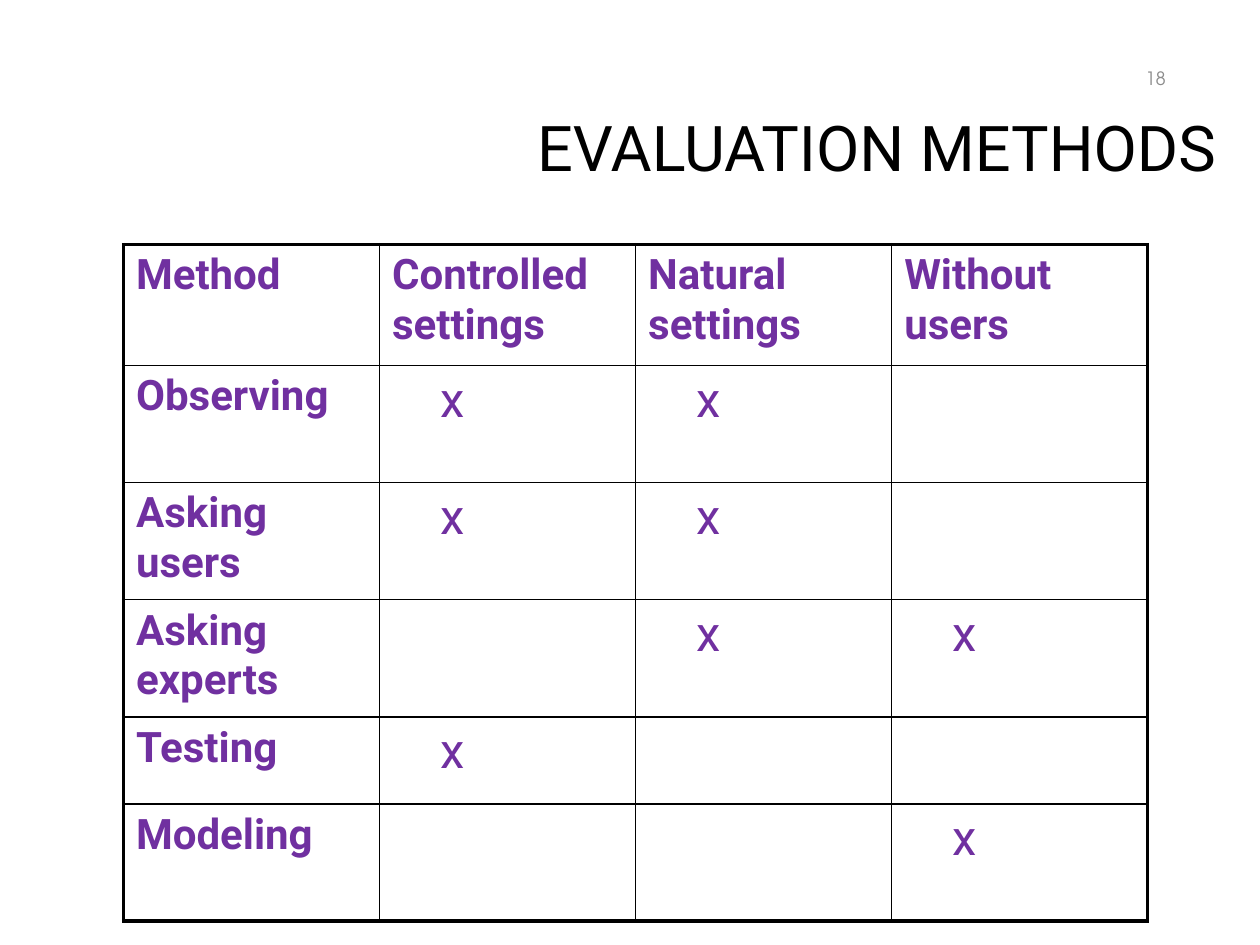
from lxml import etree
from pptx import Presentation
from pptx.dml.color import RGBColor
from pptx.enum.text import MSO_ANCHOR, PP_ALIGN
from pptx.oxml.ns import qn
from pptx.util import Inches, Pt

RIGHT, LEFT = PP_ALIGN.RIGHT, PP_ALIGN.LEFT
MIDDLE = MSO_ANCHOR.MIDDLE
BLANK_LAYOUT = 6

COLORS = {"title": "000000", "number": "8C8C8C", "table": "7030A0", "border": "000000"}
FORMATS = {
    "number": {"name": "TeX Gyre Adventor", "size": Pt(10.5)},
    "title": {"name": "Roboto", "size": Pt(36)},
    "label": {"name": "Roboto", "size": Pt(24), "bold": True},
    "mark": {"name": "Roboto", "size": Pt(28), "bold": False},
}

# Boxes are left, top, width, height in inches
NUMBER_BOX = (7.19, 0.42, 2.16, 0.4)
TITLE_BOX = (0.75, 0.85, 9, 0.7)
TABLE_BOX = (0.98, 1.94, 8.13, 5.37)

HEADERS = ["Method", "Controlled settings", "Natural settings", "Without users"]
# Each method with the columns that are marked
METHODS = [
    ("Observing", (1, 2)),
    ("Asking users", (1, 2)),
    ("Asking experts", (2, 3)),
    ("Testing", (1,)),
    ("Modeling", (3,)),
]
ROW_UNITS = [0.96, 0.93, 0.93, 0.93, 0.69, 0.93]
MARK_INDENT = Inches(0.48)
THIN, THICK = 1, 2.25


def write(paragraph, text, style, color, alignment=LEFT):
    paragraph.alignment = alignment
    run = paragraph.add_run()
    run.text = text
    for attribute, value in FORMATS[style].items():
        setattr(run.font, attribute, value)
    run.font.color.rgb = RGBColor.from_string(COLORS[color])


def add_heading(slide, box, text, style, line_spacing=1.0):
    shape = slide.shapes.add_textbox(*map(Inches, box))
    frame = shape.text_frame
    frame.word_wrap = True
    frame.vertical_anchor = MIDDLE
    paragraph = frame.paragraphs[0]
    paragraph.line_spacing = line_spacing
    write(paragraph, text, style, style, RIGHT)


def set_borders(cell, widths):
    properties = cell._tc.get_or_add_tcPr()
    for side, width in widths.items():
        line = etree.SubElement(properties, qn(f"a:ln{side}"), w=str(Pt(width)))
        fill = etree.SubElement(line, qn("a:solidFill"))
        etree.SubElement(fill, qn("a:srgbClr"), val=COLORS["border"])


def add_methods_table(slide, box):
    left, top, width, height = map(Inches, box)
    row_count, column_count = len(METHODS) + 1, len(HEADERS)
    frame = slide.shapes.add_table(row_count, column_count, left, top, width, height)
    table = frame.table
    table.first_row = table.horz_banding = False
    for column in table.columns:
        column.width = width // column_count
    for row, units in zip(table.rows, ROW_UNITS):
        row.height = int(height * units / sum(ROW_UNITS))

    # Thick outer frame, thin inner grid
    for row in range(row_count):
        for column in range(column_count):
            cell = table.cell(row, column)
            outer = {
                "L": column == 0,
                "R": column == column_count - 1,
                "T": row == 0,
                "B": row == row_count - 1,
            }
            set_borders(cell, {side: THICK if edge else THIN for side, edge in outer.items()})
            cell.fill.background()

    # Column headers
    for column, header in enumerate(HEADERS):
        write(table.cell(0, column).text_frame.paragraphs[0], header, "label", "table")

    # Methods and their marks
    for row, (method, marked) in enumerate(METHODS, start=1):
        write(table.cell(row, 0).text_frame.paragraphs[0], method, "label", "table")
        for column in marked:
            cell = table.cell(row, column)
            cell.margin_left = MARK_INDENT
            write(cell.text_frame.paragraphs[0], "x", "mark", "table")


def main():
    presentation = Presentation()
    presentation.slide_width, presentation.slide_height = Inches(10), Inches(7.5)
    slide = presentation.slides.add_slide(presentation.slide_layouts[BLANK_LAYOUT])
    add_heading(slide, NUMBER_BOX, "18", "number")
    add_heading(slide, TITLE_BOX, "EVALUATION METHODS", "title", 0.9)
    add_methods_table(slide, TABLE_BOX)
    presentation.save("out.pptx")


if __name__ == "__main__":
    main()
